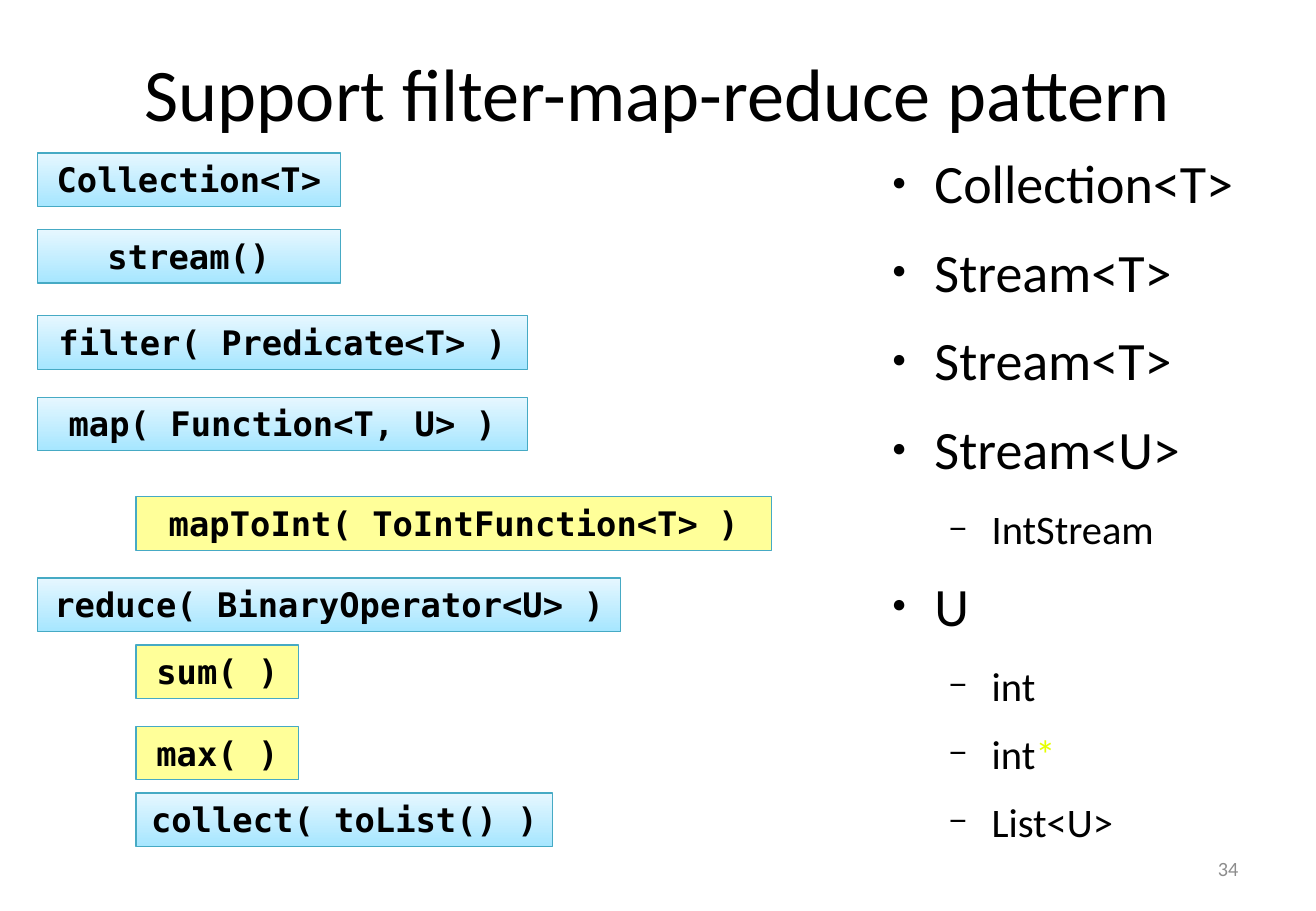
from lxml.etree import SubElement
from pptx import Presentation
from pptx.dml.color import RGBColor
from pptx.enum.shapes import MSO_SHAPE
from pptx.enum.text import MSO_ANCHOR, MSO_AUTO_SIZE, PP_ALIGN
from pptx.oxml.ns import qn
from pptx.util import Pt

PX = 9144
COLORS = {"text": "000000", "sky": "E6F7FF", "blue": "A6E6FF", "yellow": "FFFF99",
          "edge": "46AAC4", "star": "E6FF00", "number": "8C8C8C"}
BODY, CODE = "Calibri", "DejaVu Sans Mono"
BOX_H = 44
GENERAL = [("Collection<T>", 0, 249), ("stream()", 63, 249),
           ("filter( Predicate<T> )", 134, 403), ("map( Function<T, U> )", 201, 403),
           ("reduce( BinaryOperator<U> )", 350, 480)]
SPECIAL = [("mapToInt( ToIntFunction<T> )", 283, 523, "yellow"),
           ("sum( )", 405, 134, "yellow"), ("max( )", 472, 134, "yellow"),
           ("collect( toList() )", 527, 343, "blue")]
RESULTS = [(0, "Collection<T>"), (0, "Stream<T>"), (0, "Stream<T>"), (0, "Stream<U>"),
           (1, "IntStream"), (0, "U"), (1, "int"), (1, "int", "*"), (1, "List<U>")]
LEVELS = [{"indent": 47, "bullet": "●", "scale": 45, "size": 32, "after": 14.2},
          {"indent": 94, "bullet": "−", "scale": 75, "size": 24, "after": 11.4}]


def rgb(name):
    """Return the named colour."""
    return RGBColor.from_string(COLORS[name])


def place(sp, x, y, w, h):
    """Move a shape to a box given in px."""
    sp.left, sp.top, sp.width, sp.height = (v * PX for v in (x, y, w, h))


def add_run(p, text, size, font=BODY, color="text", bold=False):
    """Append one formatted run."""
    r = p.add_run()
    r.text = text
    r.font.name, r.font.size, r.font.bold = font, Pt(size), bold
    r.font.color.rgb = rgb(color)


def set_bullet(p, indent, bullet, scale):
    """Give a paragraph a hanging bullet."""
    pPr = p._p.get_or_add_pPr()
    pPr.set("marL", str(indent * PX))
    pPr.set("indent", str(-35 * PX))
    SubElement(pPr, qn("a:buSzPct")).set("val", str(scale * 1000))
    SubElement(pPr, qn("a:buChar")).set("char", bullet)


def add_title(s, x, y, w, h):
    """Fill the title placeholder."""
    sp = s.shapes.title
    place(sp, x, y, w, h)
    tf = sp.text_frame
    tf.auto_size = MSO_AUTO_SIZE.NONE
    tf.vertical_anchor = MSO_ANCHOR.MIDDLE
    p = tf.paragraphs[0]
    p.alignment = PP_ALIGN.CENTER
    add_run(p, "Support filter-map-reduce pattern", 44)


def add_results(s, x, y, w, h):
    """Fill the body placeholder with the result types."""
    sp = s.placeholders[1]
    place(sp, x, y, w, h)
    tf = sp.text_frame
    tf.auto_size = MSO_AUTO_SIZE.NONE
    tf.vertical_anchor = MSO_ANCHOR.TOP
    for i, (level, text, *star) in enumerate(RESULTS):
        p = tf.add_paragraph() if i else tf.paragraphs[0]
        style = LEVELS[level]
        p.level = level
        set_bullet(p, style["indent"], style["bullet"], style["scale"])
        p.space_before, p.space_after = Pt(0), Pt(style["after"])
        add_run(p, text, style["size"])
        for mark in star:
            add_run(p, mark, style["size"], color="star")


def add_call(s, text, x, y, w, kind="blue"):
    """Add one method box."""
    sp = s.shapes.add_shape(MSO_SHAPE.RECTANGLE, x * PX, y * PX, w * PX, BOX_H * PX)
    sp.shadow.inherit = False
    if kind == "blue":
        sp.fill.gradient()
        sp.fill.gradient_angle = 270
        for stop, name, position in zip(sp.fill.gradient_stops, ("sky", "blue"), (0, 1)):
            stop.color.rgb = rgb(name)
            stop.position = position
    else:
        sp.fill.solid()
        sp.fill.fore_color.rgb = rgb(kind)
    sp.line.color.rgb = rgb("edge")
    sp.line.width = Pt(0.75)
    tf = sp.text_frame
    tf.word_wrap = False
    tf.vertical_anchor = MSO_ANCHOR.TOP
    p = tf.paragraphs[0]
    p.alignment = PP_ALIGN.CENTER
    add_run(p, text, 20, CODE, bold=True)


def add_calls(s, x, y):
    """Add the general calls and, indented, the special ones."""
    for text, dy, w in GENERAL:
        add_call(s, text, x, y + dy, w)
    for text, dy, w, kind in SPECIAL:
        add_call(s, text, x + 81, y + dy, w, kind)


def add_number(s, x, y, w, h):
    """Add the page number."""
    tf = s.shapes.add_textbox(x * PX, y * PX, w * PX, h * PX).text_frame
    tf.word_wrap = True
    tf.vertical_anchor = MSO_ANCHOR.MIDDLE
    p = tf.paragraphs[0]
    p.alignment = PP_ALIGN.RIGHT
    add_run(p, "34", 12, color="number")


def main():
    """Build and save the slide."""
    prs = Presentation()
    prs.slide_width, prs.slide_height = 1083 * PX, 750 * PX
    s = prs.slides.add_slide(prs.slide_layouts[1])
    add_title(s, 54, 13, 975, 125)
    add_results(s, 712, 118, 367, 590)
    add_calls(s, 31, 126)
    add_number(s, 776, 695, 253, 40)
    prs.save("out.pptx")


if __name__ == "__main__":
    main()
